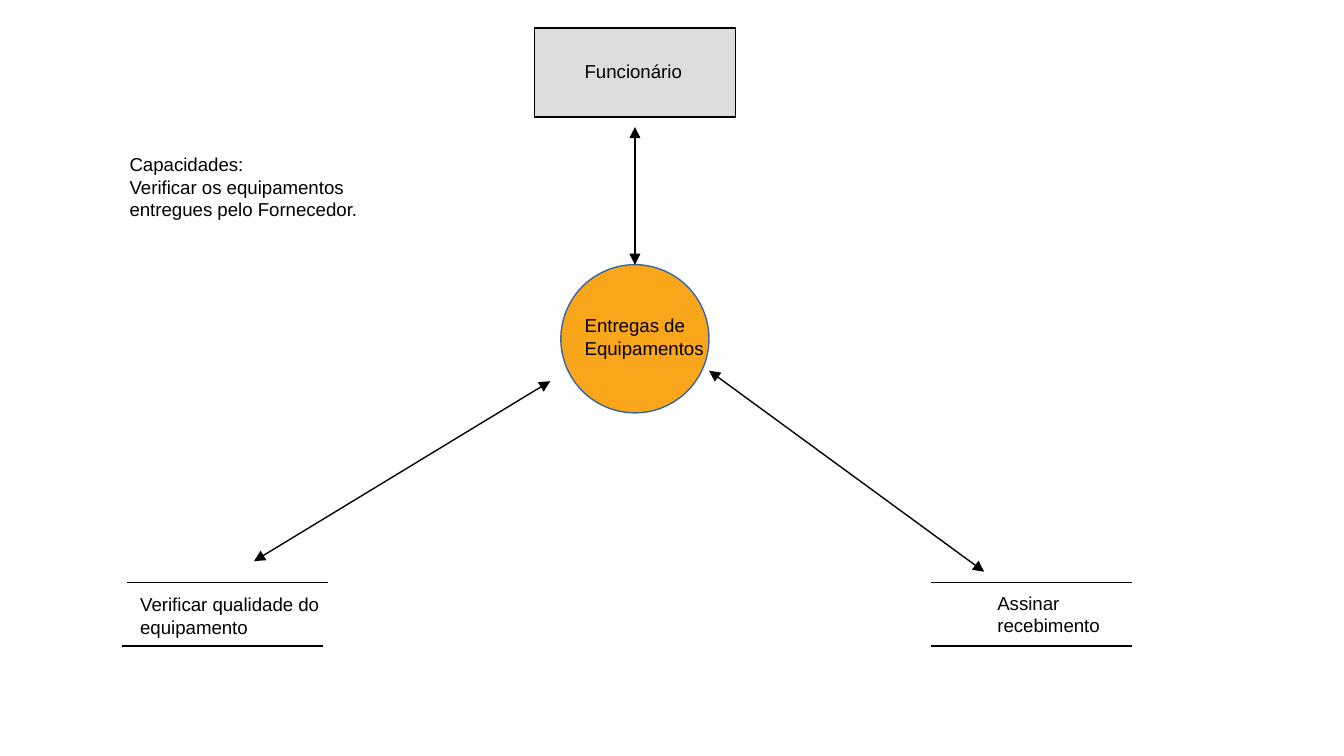
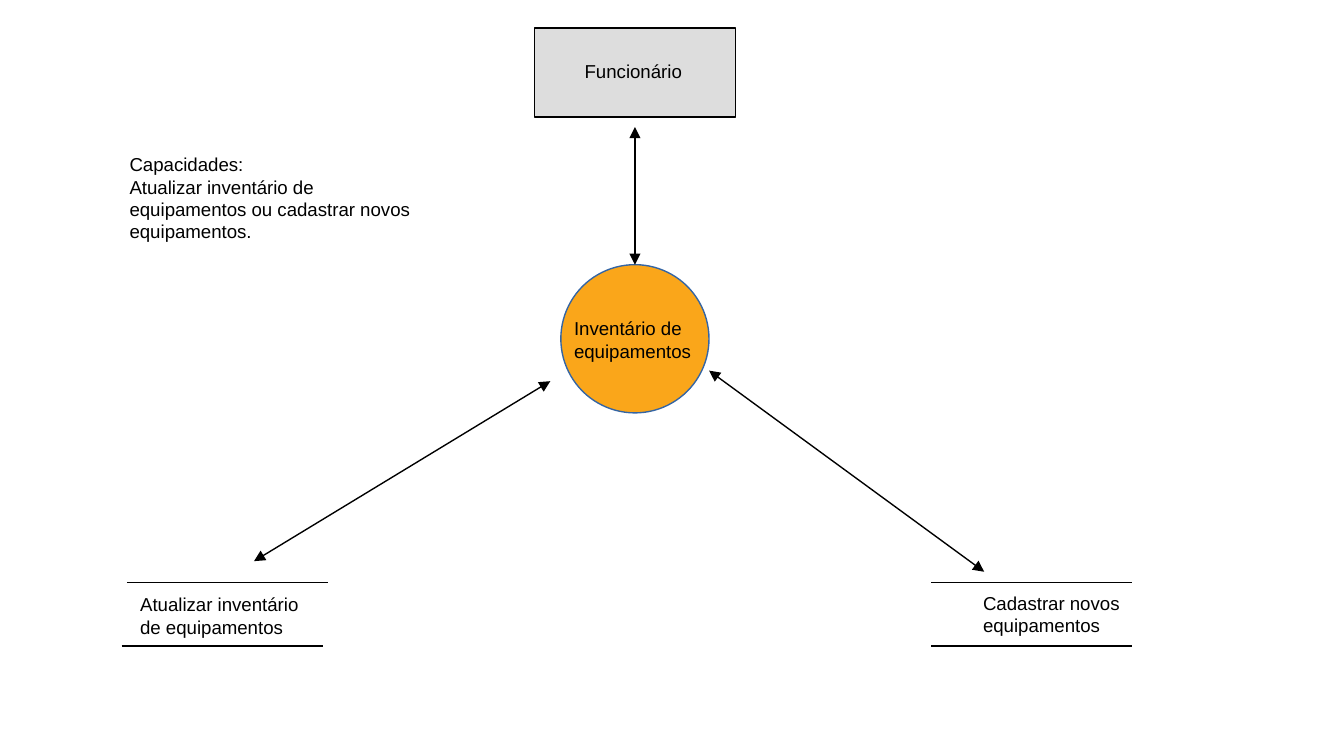
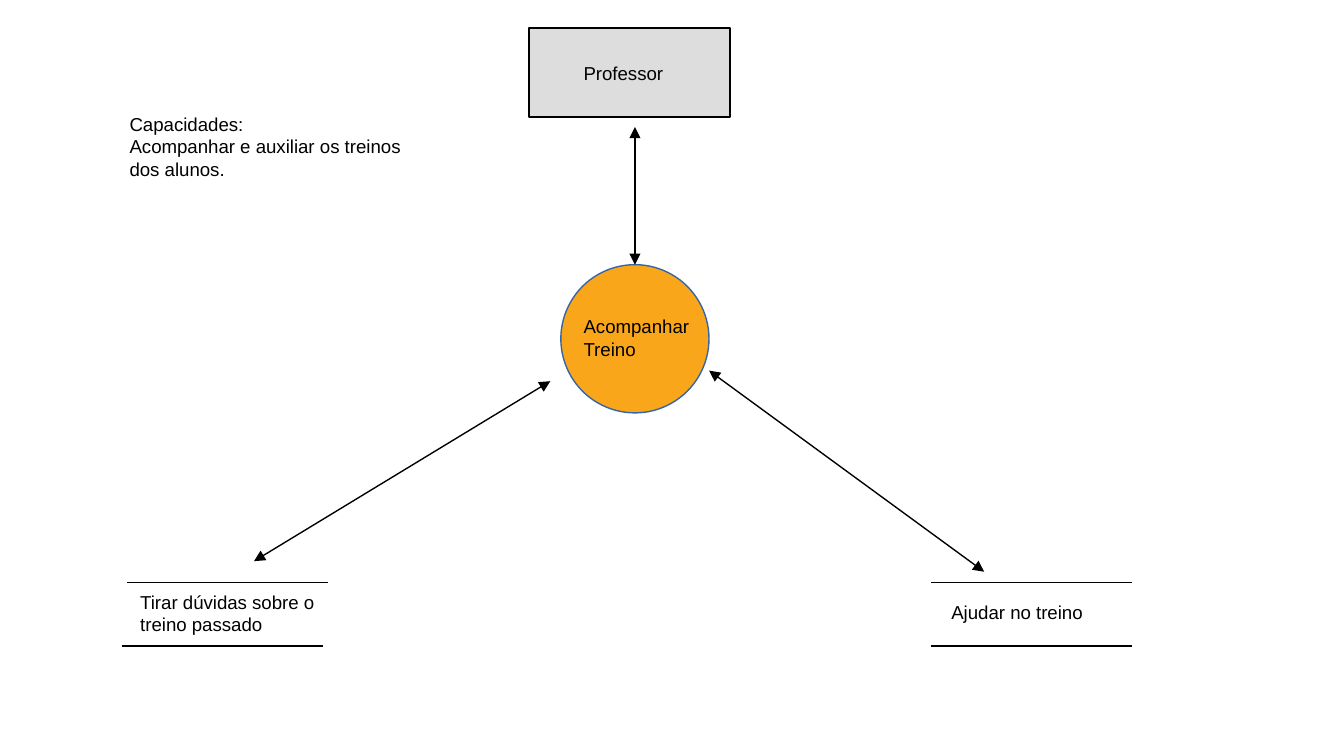
"""Builds three data-flow diagrams: an actor, a process and two tasks each."""
from pptx import Presentation
from pptx.dml.color import RGBColor
from pptx.enum.shapes import MSO_CONNECTOR as Connector, MSO_SHAPE as Shape
from pptx.oxml.ns import qn
from pptx.util import Cm, Pt
from lxml.etree import SubElement

BLACK, GREY, ORANGE, BLUE = "000000", "DDDDDD", "FAA61A", "3465A4"
FONT = "Arial"
LINE_WIDTH = 0.75
INSET_X, INSET_Y = 0.25, 0.13

DIAGRAMS = [
    {
        "actor_left": 10.1,
        "capacity_drop": 0.76,
        "labels": [
            ("Capacidades:\nVerificar os equipamentos entregues pelo Fornecedor.", (2.2, 2.0, 5.8, 1.43)),
            ("Verificar qualidade do equipamento", (2.4, 11.07, 4.17, 1.07)),
            ("Assinar recebimento", (18.6, 11.05, 2.6, 1.0)),
            ("Funcionário", (10.8, 1.0, 2.6, 0.74)),
            ("Entregas de\nEquipamentos", (10.8, 5.8, 3.4, 1.07)),
        ],
    },
    {
        "actor_left": 10.1,
        "capacity_drop": 0.76,
        "labels": [
            ("Capacidades:\nAtualizar inventário de equipamentos ou cadastrar novos equipamentos.",
             (2.2, 2.0, 5.8, 1.43)),
            ("Atualizar inventário de equipamentos", (2.4, 11.07, 3.8, 1.07)),
            ("Cadastrar novos equipamentos", (18.33, 11.05, 3.25, 1.0)),
            ("Funcionário", (10.8, 1.0, 2.6, 0.74)),
            ("Inventário de equipamentos", (10.6, 5.86, 3.4, 1.07)),
        ],
    },
    {
        "actor_left": 10.0,
        "capacity_drop": 0,
        "labels": [
            ("Capacidades:\nAcompanhar e auxiliar os treinos dos alunos.", (2.2, 2.0, 5.8, 2.0)),
            ("Tirar dúvidas sobre o treino passado", (2.4, 11.03, 3.8, 0.74)),
            ("Ajudar no treino", (17.73, 11.22, 4.45, 0.74)),
            ("Professor", (10.78, 1.03, 2.42, 0.74)),
            ("Acompanhar Treino", (10.78, 5.82, 2.8, 1.14)),
        ],
    },
]

ACTOR_TOP, ACTOR_WIDTH, ACTOR_HEIGHT = 0.53, 3.8, 1.68
PROCESS_BOX = (10.6, 5.0, 2.8, 2.8)
TASK_WIDTH = 3.8
TASK_RULES = [(2.4, 11.0), (17.6, 11.0), (2.3, 12.2), (17.6, 12.2)]
FLOWS = [
    ((12.0, 2.4), (12.0, 5.0)),
    ((4.8, 10.6), (10.4, 7.2)),
    ((13.4, 7.0), (18.6, 10.8)),
]


def color(value):
    return RGBColor.from_string(value)


def add_node(slide, kind, box, fill, outline):
    node = slide.shapes.add_shape(kind, *map(Cm, box))
    node.shadow.inherit = False
    node.fill.solid()
    node.fill.fore_color.rgb = color(fill)
    node.line.color.rgb = color(outline)
    node.line.width = Pt(LINE_WIDTH)


def add_line(slide, start, end, arrows=False):
    line = slide.shapes.add_connector(Connector.STRAIGHT, *map(Cm, start + end))
    line.line.color.rgb = color(BLACK)
    line.line.width = Pt(LINE_WIDTH)
    properties = line._element.spPr
    if arrows:
        for tip in ("a:headEnd", "a:tailEnd"):
            SubElement(properties.find(qn("a:ln")), qn(tip), type="triangle")
    SubElement(properties, qn("a:effectLst"))


def add_label(slide, text, box, drop=0, size=10, ink=BLACK):
    frame = slide.shapes.add_textbox(*map(Cm, box)).text_frame
    frame.word_wrap = True
    frame.margin_left = frame.margin_right = Cm(INSET_X)
    frame.margin_top, frame.margin_bottom = Cm(INSET_Y + drop), Cm(INSET_Y)
    frame.text = text
    for paragraph in frame.paragraphs:
        for run in paragraph.runs:
            run.font.name, run.font.size = FONT, Pt(size)
            run.font.color.rgb = color(ink)


def build_diagram(slide, diagram):
    actor_box = (diagram["actor_left"], ACTOR_TOP, ACTOR_WIDTH, ACTOR_HEIGHT)
    add_node(slide, Shape.OVAL, PROCESS_BOX, ORANGE, BLUE)
    add_node(slide, Shape.RECTANGLE, actor_box, GREY, BLACK)
    for left, top in TASK_RULES:
        add_line(slide, (left, top), (left + TASK_WIDTH, top))
    capacity, *names = diagram["labels"]
    add_label(slide, *capacity, drop=diagram["capacity_drop"])
    for text, box in names:
        add_label(slide, text, box)
    for start, end in FLOWS:
        add_line(slide, start, end, arrows=True)


def main():
    deck = Presentation()
    deck.slide_width, deck.slide_height = Cm(25.4), Cm(14.28)
    blank = deck.slide_layouts[6]
    for diagram in DIAGRAMS:
        build_diagram(deck.slides.add_slide(blank), diagram)
    deck.save("out.pptx")


if __name__ == "__main__":
    main()
